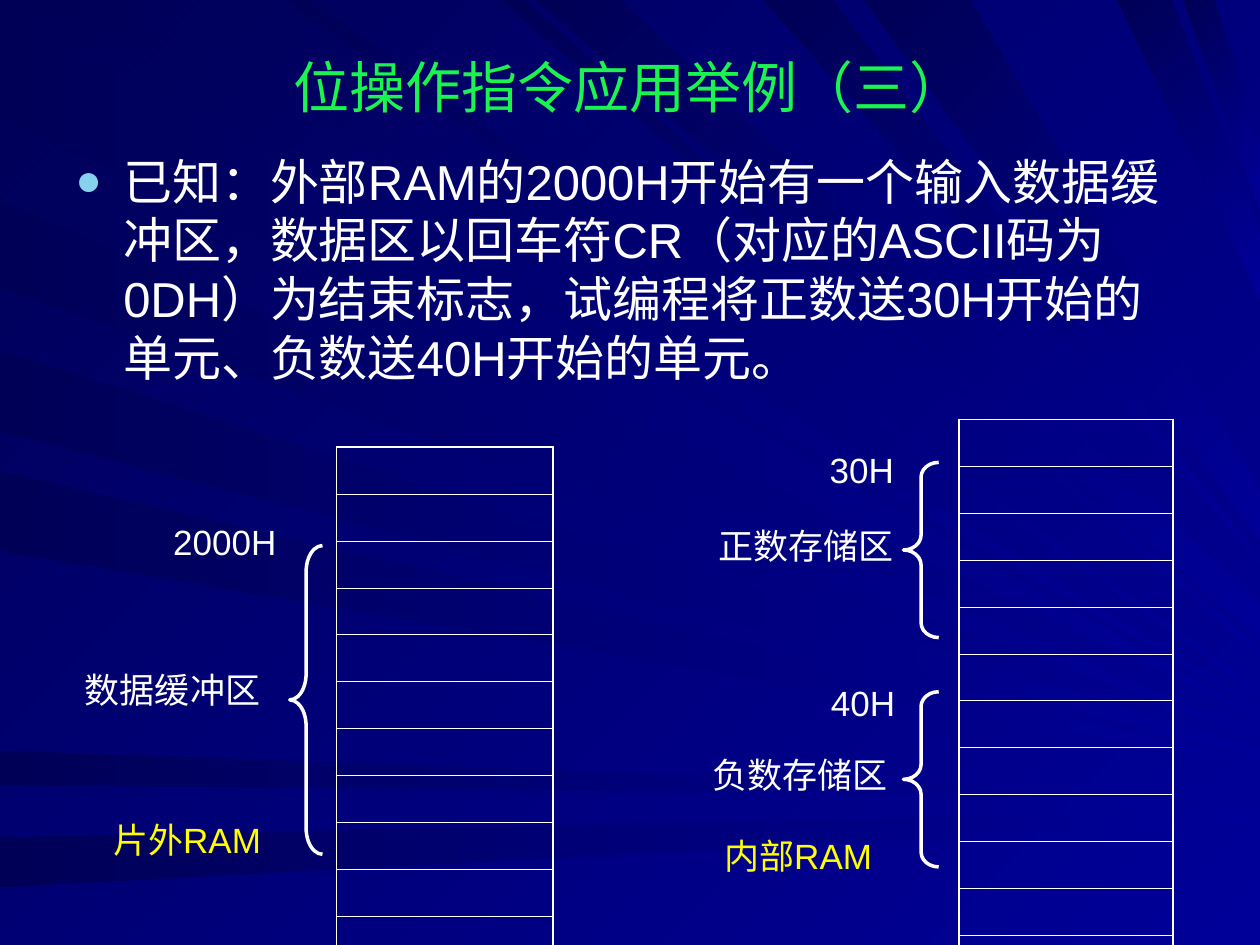
import pptx
import pptx.util
from pptx.dml.color import RGBColor
from pptx.enum.shapes import MSO_SHAPE
from pptx.enum.text import MSO_ANCHOR, MSO_AUTO_SIZE, PP_ALIGN
from pptx.oxml import parse_xml
from pptx.oxml.ns import nsdecls
from pptx.util import Inches, Pt

GREEN = RGBColor(0x1B, 0xF3, 0x4E)
WHITE = RGBColor(0xFF, 0xFF, 0xFF)
YELLOW = RGBColor(0xFF, 0xFF, 0x00)
BLUE = RGBColor(0x00, 0x00, 0x99)
NAVY = RGBColor(0x00, 0x00, 0x57)
BULLET = RGBColor(0x86, 0xD1, 0xEC)
FONT = "Arial"

# Content
TITLE = "位操作指令应用举例（三）"
BODY = ("已知：外部RAM的2000H开始有一个输入数据缓冲区，数据区以回车符CR（对应的ASCII码为0DH）"
        "为结束标志，试编程将正数送30H开始的单元、负数送40H开始的单元。")
LABELS = [  # text, left, top, width, height, colour
    ("2000H", 1.25, 4.11, 1.07, 0.37, WHITE),
    ("数据缓冲区", 0.6, 5.25, 1.54, 0.45, WHITE),
    ("30H", 6.51, 3.57, 0.66, 0.31, WHITE),
    ("40H", 6.54, 5.41, 0.62, 0.33, WHITE),
    ("正数存储区", 5.64, 4.15, 1.52, 0.36, WHITE),
    ("负数存储区", 5.59, 5.97, 1.52, 0.36, WHITE),
    ("片外RAM", 0.85, 6.46, 1.27, 0.4, YELLOW),
    ("内部RAM", 5.67, 6.59, 1.33, 0.4, YELLOW),
]
MEMORIES = [(7.61, 3.33, 1.7, 12), (2.67, 3.55, 1.72, 11)]  # left, top, width, rows
BRACES = [  # left, top, width, height, curve
    (2.3, 4.33, 0.26, 2.45, 0.8),
    (7.17, 3.67, 0.28, 1.39, 0.42),
    (7.17, 5.49, 0.28, 1.39, 0.42),
]

# Background rays: span on the starting edge, then span on the right edge
LEFT_RAYS = [
    (0.02, 0.93, 5.69, 5.7),
    (5.96, 6.23, 6.31, 6.32),
    (6.65, 7.04, 6.43, 6.51),
    (1.59, 2.28, 5.84, 5.85),
    (2.78, 3.42, 5.96, 6.02),
    (3.74, 4.37, 6.05, 6.06),
]
TOP_RAYS = [
    (0.26, 1.01, 5.63, 5.62),
    (3.98, 4.16, 5.21, 5.15),
    (4.26, 4.92, 5.07, 4.79),
    (6.06, 6.61, 4.46, 4.45),
    (8.87, 9.3, 2.37, 1.83),
    (9.39, 9.64, 1.67, 1.14),
    (2.25, 2.47, 5.52, 5.47),
    (6.86, 7.7, 4.28, 3.9),
]


def paint(fill, angle):
    fill.gradient()
    fill.gradient_angle = angle
    for stop, colour in zip(fill.gradient_stops, (BLUE, NAVY)):
        stop.color.rgb = colour


def add_ray(s, corners, angle):
    points = [(Inches(x), Inches(y)) for x, y in corners]
    builder = s.shapes.build_freeform(*points[0])
    builder.add_line_segments(points[1:], close=True)
    ray = builder.convert_to_shape()
    ray.shadow.inherit = False
    ray.line.fill.background()
    paint(ray.fill, angle)
    s.slide_layout.slide_master.shapes._spTree.append(ray._element)


def write(tf, text, size, colour, align, anchor, wrap):
    tf.text = text
    tf.auto_size = MSO_AUTO_SIZE.NONE
    tf.word_wrap = wrap
    tf.vertical_anchor = anchor
    p = tf.paragraphs[0]
    p.alignment = align
    font = p.runs[0].font
    font.name, font.size, font.color.rgb = FONT, Pt(size), colour
    return p


def add_memory(s, left, top, width, rows):
    row_height = Inches(0.3)
    table = s.shapes.add_table(rows, 1, Inches(left), Inches(top), Inches(width), row_height * rows).table
    table.first_row = table.horz_banding = False
    for i in range(rows):
        table.rows[i].height = row_height
        cell = table.cell(i, 0)
        # The size of the empty line sets the drawn row height
        end = parse_xml(f'<a:endParaRPr {nsdecls("a")} sz="1750"><a:latin typeface="{FONT}"/></a:endParaRPr>')
        cell.text_frame.paragraphs[0]._p.append(end)
        widths = {"L": 1.08, "R": 1.08, "T": 1.08 if i == 0 else 0.45, "B": 1.08 if i == rows - 1 else 0.45}
        tcPr = cell._tc.get_or_add_tcPr()
        for side, points in widths.items():
            tcPr.append(parse_xml(
                f'<a:ln{side} {nsdecls("a")} w="{Pt(points)}"><a:solidFill><a:srgbClr val="{WHITE}"/>'
                f'</a:solidFill></a:ln{side}>'))
        cell.fill.background()


prs = pptx.Presentation()
prs.slide_width, prs.slide_height = Inches(10), Inches(7.5)
s = prs.slides.add_slide(prs.slide_layouts[5])

# Background, kept on the master
paint(prs.slide_master.background.fill, 135)
for a, b, c, d in LEFT_RAYS:
    add_ray(s, [(0, a), (0, b), (10, d), (10, c)], 180)
for a, b, c, d in TOP_RAYS:
    add_ray(s, [(a, 0), (b, 0), (10, d), (10, c)], 135)

# Title
title = s.shapes.title
title.left, title.top, title.width, title.height = map(Inches, (0.5, 0.3, 9, 0.76))
write(title.text_frame, TITLE, 32, GREEN, PP_ALIGN.CENTER, MSO_ANCHOR.MIDDLE, True)

# Problem statement
body = s.shapes.add_textbox(*map(Inches, (0.5, 1.15, 8.92, 2.18)))
p = write(body.text_frame, BODY, 28, WHITE, PP_ALIGN.LEFT, MSO_ANCHOR.TOP, True)
p.space_before = Pt(7)
pPr = p._p.get_or_add_pPr()
pPr.set("marL", str(Inches(0.38)))
pPr.set("indent", str(-Inches(0.38)))
for bullet in (f'buClr {nsdecls("a")}><a:srgbClr val="{BULLET}"/></a:buClr>',
               f'buSzPct {nsdecls("a")} val="90000"/>',
               f'buFont {nsdecls("a")} typeface="{FONT}"/>',
               f'buChar {nsdecls("a")} char="●"/>'):
    pPr.append(parse_xml("<a:" + bullet))

# Memory columns
for memory in MEMORIES:
    add_memory(s, *memory)

# Braces
for *box, curve in BRACES:
    brace = s.shapes.add_shape(MSO_SHAPE.LEFT_BRACE, *map(Inches, box))
    brace.adjustments[0] = curve
    brace.shadow.inherit = False
    brace.fill.background()
    brace.line.color.rgb = WHITE
    brace.line.width = Pt(2)

# Labels
for text, *box, colour in LABELS:
    label = s.shapes.add_textbox(*map(Inches, box))
    write(label.text_frame, text, 20, colour, PP_ALIGN.CENTER, MSO_ANCHOR.MIDDLE, False)

prs.save("out.pptx")
